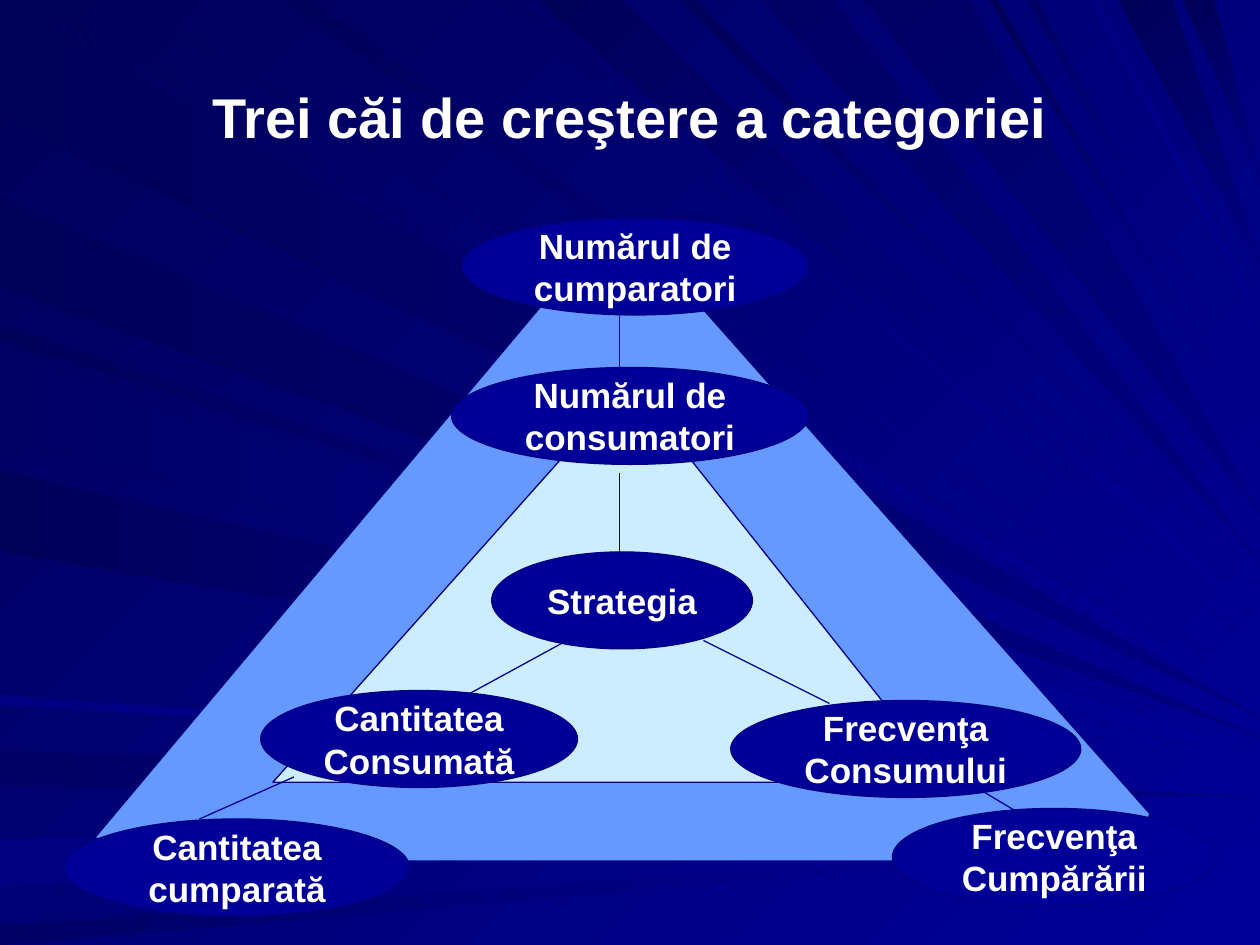
from lxml import etree
from pptx import Presentation
from pptx.dml.color import RGBColor
from pptx.enum.shapes import MSO_CONNECTOR, MSO_SHAPE
from pptx.enum.text import MSO_ANCHOR, PP_ALIGN
from pptx.oxml.ns import qn
from pptx.util import Pt

OVAL = MSO_SHAPE.OVAL
STRAIGHT = MSO_CONNECTOR.STRAIGHT
MIDDLE = MSO_ANCHOR.MIDDLE
CENTER = PP_ALIGN.CENTER

HEX = {"night": "000058", "dusk": "000065", "blue": "000099", "navy": "000080",
       "sky": "6699FF", "ice": "CCECFF", "white": "FFFFFF"}
RGB = {name: RGBColor.from_string(code) for name, code in HEX.items()}
WIDE, HIGH = 720, 540


def style(frame, text, size):
    frame.text = text
    frame.word_wrap = True
    frame.vertical_anchor = MIDDLE
    part = frame.paragraphs[0]
    part.alignment = CENTER
    font = part.runs[0].font
    font.name, font.size, font.bold = "Arial", Pt(size), True
    font.color.rgb = RGB["white"]


def trace(target, points):
    spots = [(Pt(x), Pt(y)) for x, y in points]
    pen = target.build_freeform(*spots[0])
    pen.add_line_segments(spots[1:], close=True)
    shape = pen.convert_to_shape()
    shape.shadow.inherit = False
    return shape


deck = Presentation()
deck.slide_width, deck.slide_height = Pt(WIDE), Pt(HIGH)
slide = deck.slides.add_slide(deck.slide_layouts[5])
shapes = slide.shapes
beams = shapes.add_group_shape()

rays = [
    ("left", "night", "navy", 1, 67, 410),
    ("top", "night", "blue", 19, 73, 405),
    ("left", "dusk", "navy", 429, 449, 455),
    ("left", "navy", "blue", 479, 507, 466),
    ("left", "dusk", "blue", 529, 540, 477),
    ("left", "night", "blue", 186, 194, 424),
    ("left", "night", "navy", 114, 164, 421),
    ("top", "dusk", "blue", 287, 300, 373),
    ("top", "night", "blue", 307, 354, 355),
    ("top", "night", "blue", 389, 397, 333),
    ("top", "dusk", "navy", 436, 476, 321),
    ("top", "night", "navy", 639, 670, 151),
    ("top", "night", "navy", 676, 694, 101),
    ("left", "dusk", "blue", 200, 246, 431),
    ("left", "night", "blue", 269, 315, 436),
    ("left", "navy", "blue", 397, 403, 448),
    ("top", "night", "blue", 162, 178, 396),
    ("top", "dusk", "navy", 494, 554, 294),
    ("top", "night", "blue", 565, 570, 257),
    ("top", "dusk", "blue", 587, 593, 242),
    ("top", "navy", "blue", 623, 628, 183),
    ("left", "dusk", "blue", 204, 250, 434),
]
fills = [(slide.background.fill, "night", "blue", 45)]
for side, start, end, near, far, tip in rays:
    base = [(0, near), (0, far)] if side == "left" else [(near, 0), (far, 0)]
    ray = trace(beams.shapes, base + [(WIDE, tip)])
    ray.line.fill.background()
    fills.append((ray.fill, start, end, 0 if side == "left" else 45))

for fill, start, end, angle in fills:
    fill.gradient()
    fill.gradient_angle = (360 - angle) % 360
    for stop, tint in zip(fill.gradient_stops, (start, end)):
        stop.color.rgb = RGB[tint]

title = shapes.title
title.element.addprevious(beams.element)
title.left, title.top, title.width, title.height = Pt(36), Pt(21.6), Pt(648), Pt(90)
style(title.text_frame, "Trei căi de creştere a categoriei", 32)

layers = [
    ("sky", [(310, 174), (54, 479), (191, 492), (649, 492), (657, 465), (402, 177)]),
    ("ice", [(372, 234), (345, 235), (156, 447), (541, 447)]),
]
for tint, points in layers:
    layer = trace(shapes, points)
    layer.fill.solid()
    layer.fill.fore_color.rgb = RGB[tint]
    layer.line.color.rgb = RGB["navy"]
    layer.line.width = Pt(0.75)

ovals = [
    ("Numărul de cumparatori", 264, 124.6, 198),
    ("Numărul de consumatori", 258, 210, 204),
    ("Strategia", 281, 315.4, 149),
    ("Cantitatea Consumată", 149, 394.6, 181),
    ("Cantitatea cumparată", 37, 468, 197),
    ("Frecvenţa Consumului", 417.6, 400.3, 200),
    ("Frecvenţa Cumpărării", 510, 462, 185),
]
for text, left, top, width in ovals:
    oval = shapes.add_shape(OVAL, Pt(left), Pt(top), Pt(width), Pt(55.4))
    oval.shadow.inherit = False
    oval.fill.solid()
    oval.fill.fore_color.rgb = RGB["blue"]
    oval.line.color.rgb = RGB["navy"]
    oval.line.width = Pt(0.75)
    style(oval.text_frame, text, 20)

links = [
    ("blue", 354, 180, 354, 216),
    ("navy", 354, 270, 354, 318),
    ("blue", 402, 366, 474, 402),
    ("blue", 558, 450, 588, 468),
    ("blue", 114, 468, 168, 444),
    ("blue", 258, 402, 324, 366),
]
for tint, *ends in links:
    link = shapes.add_connector(STRAIGHT, *[Pt(end) for end in ends])
    link.line.color.rgb = RGB[tint]
    link.line.width = Pt(0.75)
    etree.SubElement(link.element.spPr, qn("a:effectLst"))

deck.save("out.pptx")
